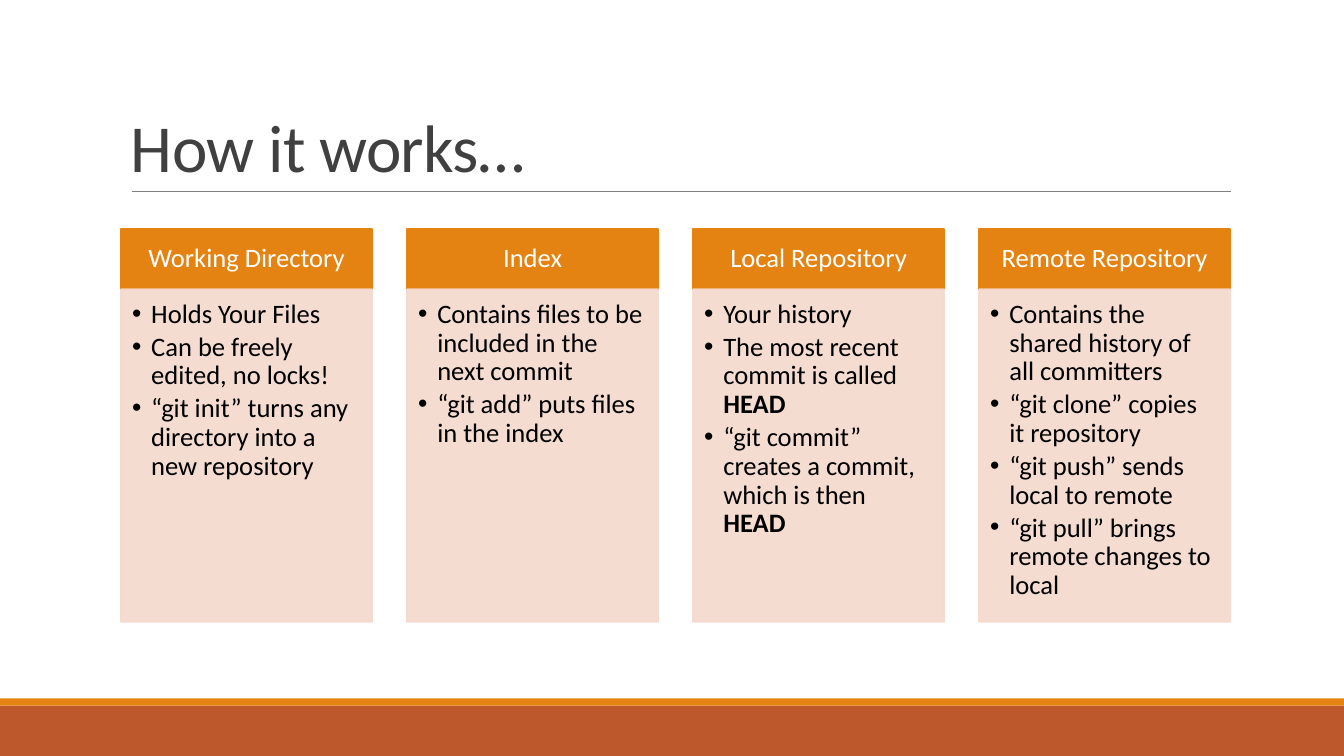
from lxml.etree import SubElement
from pptx import Presentation
from pptx.dml.color import RGBColor
from pptx.enum.shapes import MSO_CONNECTOR, MSO_SHAPE
from pptx.enum.text import MSO_ANCHOR, PP_ALIGN
from pptx.oxml.ns import qn
from pptx.util import Inches, Pt

# Content: asterisks enclose bold words
TITLE = "How it works…"
STAGES = [
    ("Working Directory", [
        "Holds Your Files",
        "Can be freely edited, no locks!",
        "“git init” turns any directory into a new repository"]),
    ("Index", [
        "Contains files to be included in the next commit",
        "“git add” puts files in the index"]),
    ("Local Repository", [
        "Your history",
        "The most recent commit is called *HEAD*",
        "“git commit” creates a commit, which is then *HEAD*"]),
    ("Remote Repository", [
        "Contains the shared history of all committers",
        "“git clone” copies it repository",
        "“git push” sends local to remote",
        "“git pull” brings remote changes to local"]),
]

# Formats
ORANGE, RUST, PEACH = "E48312", "BD582C", "F5D9CC"
LEFT, WIDE, STEP = 1.2, 2.49, 2.837
HEAD_TOP, HEAD_HIGH, BODY_HIGH = 2.27, 0.6, 3.3
SIDES = ("margin_left", "margin_top", "margin_right", "margin_bottom")
TITLE_TEXT = {"size": Pt(48), "color": "404040"}
HEAD_TEXT = {"size": Pt(19), "color": "FFFFFF"}
BODY_TEXT = {"size": Pt(19), "color": "000000"}


def paint(target, color):
    target.rgb = RGBColor.from_string(color)


def fade(fill, percent):
    alpha = SubElement(fill.find(".//" + qn("a:srgbClr")), qn("a:alpha"))
    alpha.set("val", str(percent * 1000))


def box(slide, at, color, edge=False):
    shape = slide.shapes.add_shape(MSO_SHAPE.RECTANGLE, *map(Inches, at))
    shape.shadow.inherit = False
    shape.fill.solid()
    paint(shape.fill.fore_color, color)
    if edge:
        shape.line.width = Pt(1.25)
        paint(shape.line.color, color)
    else:
        shape.line.fill.background()
    return shape


def frame(shape, anchor, insets):
    text = shape.text_frame
    text.word_wrap = True
    text.vertical_anchor = anchor
    for side, inset in zip(SIDES, insets):
        setattr(text, side, Inches(inset))
    return text


def write(para, words, style, **layout):
    for name, value in layout.items():
        setattr(para, name, value)
    for i, part in enumerate(words.split("*")):
        if part:
            run = para.add_run()
            run.text = part
            font = {"name": "Calibri", "size": style["size"], "bold": i % 2 == 1}
            for name, value in font.items():
                setattr(run.font, name, value)
            paint(run.font.color, style["color"])


def bullet(para):
    props = para._p.get_or_add_pPr()
    props.set("marL", str(Inches(0.19)))
    props.set("indent", str(Inches(-0.19)))
    SubElement(props, qn("a:buFont")).set("typeface", "Arial")
    SubElement(props, qn("a:buChar")).set("char", "•")


def main():
    deck = Presentation()
    deck.slide_width, deck.slide_height = Inches(13.33), Inches(7.5)
    slide = deck.slides.add_slide(deck.slide_layouts[6])

    # Footer bands and title rule
    box(slide, (0, 7, 13.33, 0.5), RUST)
    box(slide, (0, 6.93, 13.33, 0.07), ORANGE)
    rule = slide.shapes.add_connector(
        MSO_CONNECTOR.STRAIGHT, *map(Inches, (1.31, 1.9, 12.21, 1.9)))
    rule.line.width = Pt(0.5)
    paint(rule.line.color, "808080")
    SubElement(rule._element.spPr, qn("a:effectLst"))

    # Title
    title = slide.shapes.add_textbox(*map(Inches, (LEFT, 0.31, 11, 1.59)))
    para = frame(title, MSO_ANCHOR.BOTTOM, (0.1, 0.05, 0.1, 0.05)).paragraphs[0]
    write(para, TITLE, TITLE_TEXT, line_spacing=0.85)
    para.runs[0].font._element.set("spc", "-50")

    # Stage columns
    for i, (name, points) in enumerate(STAGES):
        x = LEFT + i * STEP
        head = box(slide, (x, HEAD_TOP, WIDE, HEAD_HIGH), ORANGE, edge=True)
        text = frame(head, MSO_ANCHOR.MIDDLE, (0.15, 0.08, 0.15, 0.08))
        write(text.paragraphs[0], name, HEAD_TEXT,
              alignment=PP_ALIGN.CENTER, line_spacing=0.9)

        body = box(slide, (x, HEAD_TOP + HEAD_HIGH, WIDE, BODY_HIGH), PEACH, edge=True)
        props = body._element.spPr
        for tag in ("a:solidFill", "a:ln"):
            fade(props.find(qn(tag)), 90)
        text = frame(body, MSO_ANCHOR.TOP, (0.11, 0.11, 0.15, 0.17))
        for j, point in enumerate(points):
            para = text.add_paragraph() if j else text.paragraphs[0]
            write(para, point, BODY_TEXT, alignment=PP_ALIGN.LEFT, level=1,
                  line_spacing=0.9, space_after=Pt(3))
            bullet(para)

    deck.save("out.pptx")


if __name__ == "__main__":
    main()
